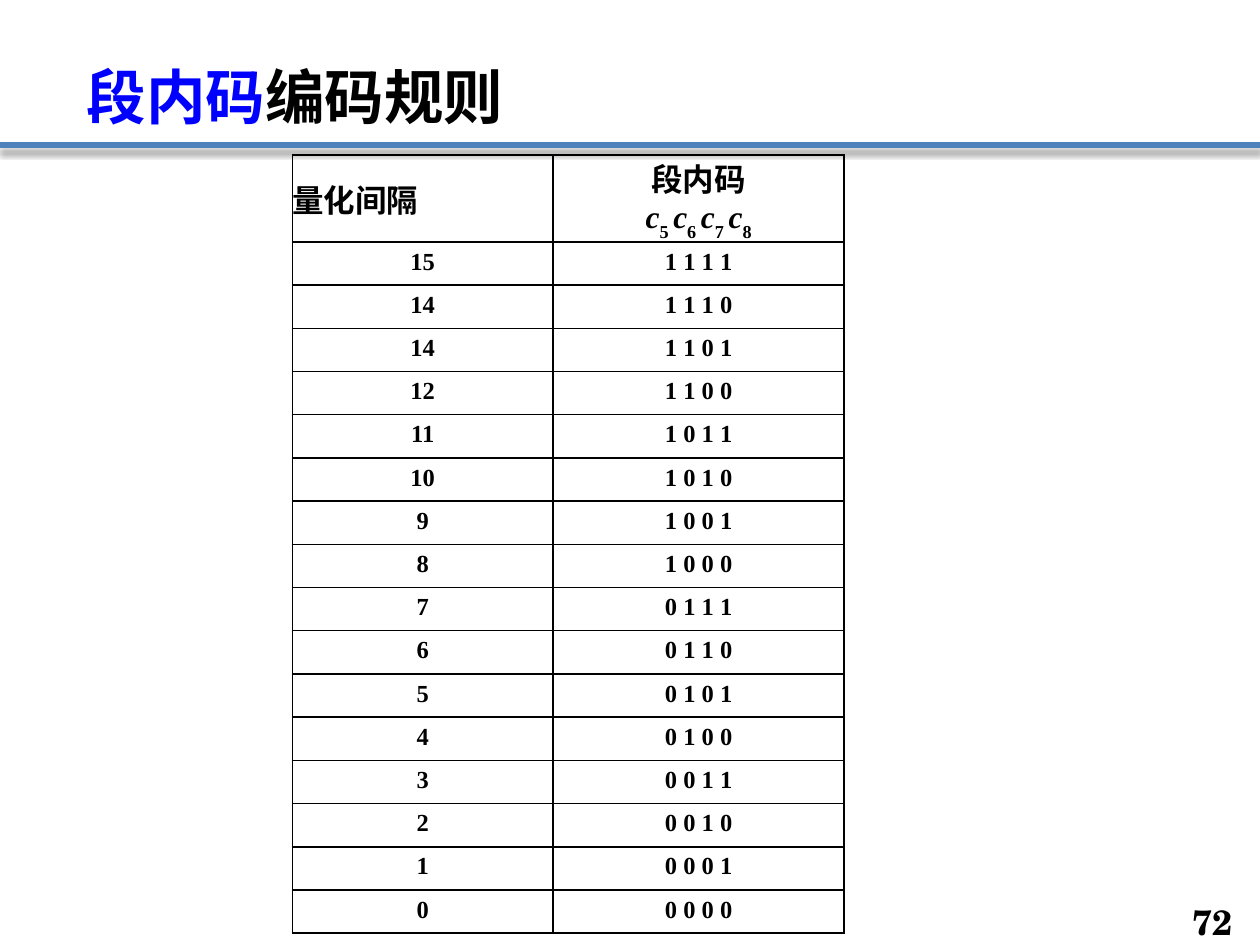
from lxml import etree
from pptx import Presentation
from pptx.dml.color import RGBColor
from pptx.enum import shapes, text
from pptx.oxml import parse_xml
from pptx.oxml.ns import nsdecls
from pptx.util import Inches, Pt

BLACK = RGBColor(0, 0, 0)
BLUE = RGBColor(0, 0, 0xFF)
RULE_BLUE = RGBColor(0x4F, 0x81, 0xBD)
SERIF = "Times New Roman"
SCHOLA = "TeX Gyre Schola"
CENTER = text.PP_ALIGN.CENTER


def write(paragraph, words, size=18, font=SERIF, color=BLACK, italic=False,
          baseline=None, align=None):
    """Append one bold run to the paragraph; baseline is a percentage."""
    if align is not None:
        paragraph.alignment = align
    run = paragraph.add_run()
    run.text = words
    run.font.size = Pt(size)
    run.font.name = font
    run.font.bold = True
    run.font.italic = italic
    run.font.color.rgb = color
    if baseline is not None:
        run._r.get_or_add_rPr().set("baseline", str(baseline * 1000))


def outline(cell):
    """Give the cell no fill and a thin black border on every side."""
    cell.fill.background()
    properties = cell._tc.get_or_add_tcPr()
    for position, side in enumerate(("lnL", "lnR", "lnT", "lnB")):
        properties.insert(position, parse_xml(
            f'<a:{side} {nsdecls("a")} w="{Pt(1)}"><a:solidFill>'
            f'<a:srgbClr val="{BLACK}"/></a:solidFill></a:{side}>'))


presentation = Presentation()
presentation.slide_width = Inches(10)
presentation.slide_height = Inches(7.5)
slide = presentation.slides.add_slide(presentation.slide_layouts[5])

# Title and the rule below it
title = slide.shapes.title
title.left, title.top = Inches(0.59), Inches(0.21)
title.width, title.height = Inches(8.82), Inches(0.89)
title.text_frame.vertical_anchor = text.MSO_ANCHOR.BOTTOM
heading = title.text_frame.paragraphs[0]
heading.line_spacing = 0.9
write(heading, "段内码", size=34, font=SCHOLA, color=BLUE, align=text.PP_ALIGN.LEFT)
write(heading, "编码规则", size=34, font=SCHOLA)

rule = slide.shapes.add_connector(
    shapes.MSO_CONNECTOR.STRAIGHT, 0, Inches(1.15), Inches(10), Inches(1.15))
rule.line.color.rgb = RULE_BLUE
rule.line.width = Pt(3)
rule._element.spPr.append(etree.fromstring(
    f'<a:effectLst {nsdecls("a")}><a:outerShdw blurRad="{Pt(4)}" dist="{Pt(3)}" '
    'dir="5400000" rotWithShape="0"><a:srgbClr val="000000"><a:alpha val="43000"/>'
    '</a:srgbClr></a:outerShdw></a:effectLst>'))

# Page number
page_box = slide.shapes.add_textbox(Inches(9.19), Inches(7.17), Inches(0.69), Inches(0.28))
page_box.text_frame.word_wrap = True
page_box.text_frame.vertical_anchor = text.MSO_ANCHOR.MIDDLE
write(page_box.text_frame.paragraphs[0], "72", size=20, font=SCHOLA,
      align=text.PP_ALIGN.RIGHT)

# Code table: one row for each quantisation interval
intervals = [15, 14, 14, 12, 11, 10, 9, 8, 7, 6, 5, 4, 3, 2, 1, 0]
codes = table = slide.shapes.add_table(
    len(intervals) + 1, 2, Inches(2.32), Inches(1.23), Inches(4.38), Inches(6.18)).table
codes.first_row = codes.horz_banding = False
codes.columns[0].width = Inches(2.07)
codes.columns[1].width = Inches(2.31)
codes.rows[0].height = Inches(0.69)

interval_head, code_head = codes.cell(0, 0), codes.cell(0, 1)
for head in (interval_head, code_head):
    head.vertical_anchor = text.MSO_ANCHOR.MIDDLE
    head.margin_left = head.margin_right = head.margin_top = head.margin_bottom = 0
write(interval_head.text_frame.paragraphs[0], "量化间隔")
write(code_head.text_frame.paragraphs[0], "段内码", align=CENTER)
bits = code_head.text_frame.add_paragraph()
for subscript in ("5 ", "6 ", "7 ", "8"):
    write(bits, "c", italic=True, align=CENTER)
    write(bits, subscript, baseline=-30)

for row, interval in enumerate(intervals, start=1):
    codes.rows[row].height = Inches(5.49 / len(intervals))
    code = " ".join(f"{len(intervals) - row:04b}")
    for column, words in enumerate((str(interval), code)):
        write(codes.cell(row, column).text_frame.paragraphs[0], words, size=14, align=CENTER)

for cell in codes.iter_cells():
    outline(cell)

presentation.save("out.pptx")
